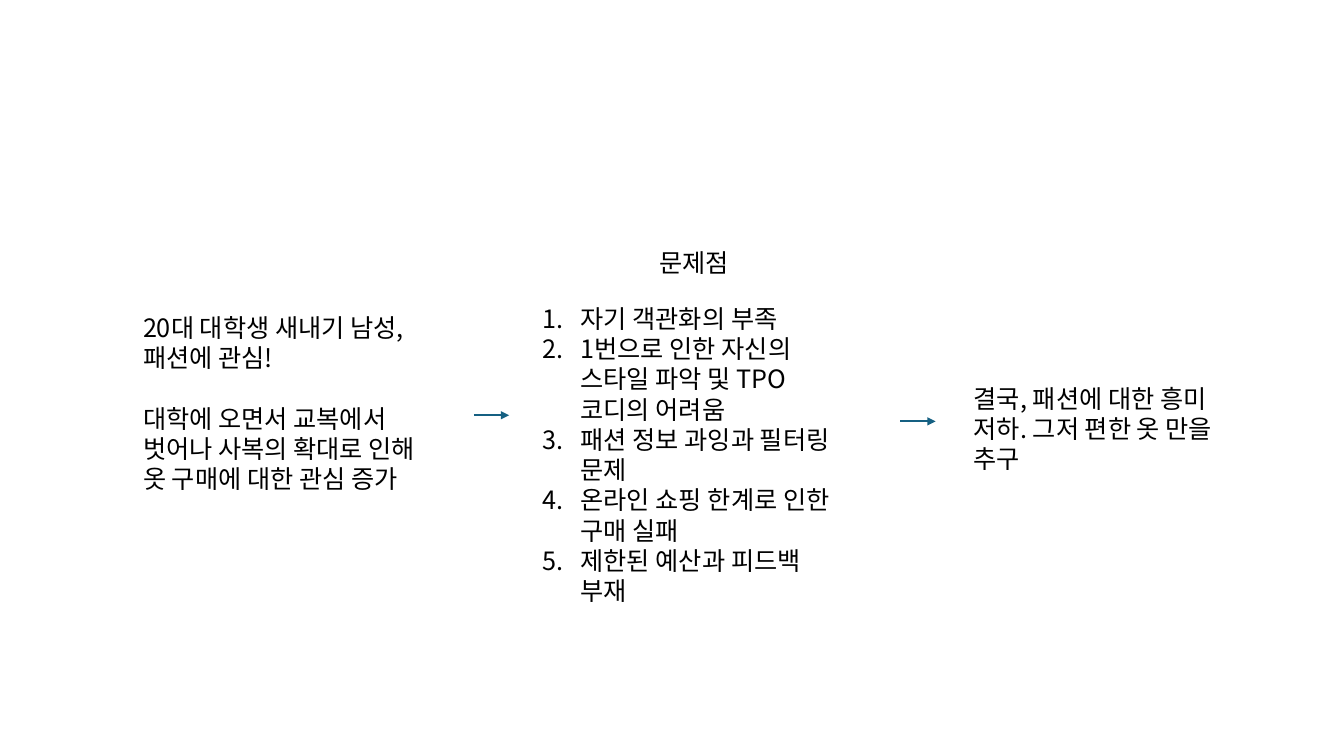
from dataclasses import dataclass

from lxml import etree
from pptx import Presentation
from pptx.dml.color import RGBColor
from pptx.enum.shapes import MSO_CONNECTOR
from pptx.enum.text import MSO_AUTO_SIZE
from pptx.oxml.ns import qn
from pptx.util import Inches, Pt

STRAIGHT = MSO_CONNECTOR.STRAIGHT
GROW = MSO_AUTO_SIZE.SHAPE_TO_FIT_TEXT
BLANK_LAYOUT = 6


@dataclass(frozen=True)
class Theme:
    font: str = "Noto Sans CJK KR"
    size: float = 18
    line_pitch: float = 21.6
    text: RGBColor = RGBColor(0, 0, 0)
    arrow: RGBColor = RGBColor(0x15, 0x60, 0x82)
    arrow_width: float = 1.5


THEME = Theme()

AUDIENCE = ["20대 대학생 새내기 남성, 패션에 관심!",
            "대학에 오면서 교복에서 벗어나 사복의 확대로 인해 옷 구매에 대한 관심 증가"]
PROBLEMS = ["자기 객관화의 부족",
            "1번으로 인한 자신의 스타일 파악 및 TPO 코디의 어려움",
            "패션 정보 과잉과 필터링 문제",
            "온라인 쇼핑 한계로 인한 구매 실패",
            "제한된 예산과 피드백 부재"]
RESULT = ["결국, 패션에 대한 흥미 저하. 그저 편한 옷 만을 추구"]


def write_text(p, text, size=THEME.size, color=THEME.text, gap=0):
    """Fill a paragraph with one formatted run."""
    p.line_spacing = Pt(THEME.line_pitch)
    p.space_before = Pt(gap)
    r = p.add_run()
    r.text = text
    r.font.size = Pt(size)
    r.font.name = THEME.font
    r.font.color.rgb = color
    ea = etree.SubElement(r._r.get_or_add_rPr(), qn("a:ea"))
    ea.set("typeface", THEME.font)


def number_paragraph(p, indent=0.38):
    """Give a paragraph an automatic number and a hanging indent."""
    pPr = p._p.get_or_add_pPr()
    pPr.set("marL", str(Inches(indent)))
    pPr.set("indent", str(-Inches(indent)))
    etree.SubElement(pPr, qn("a:buFont")).set("typeface", THEME.font)
    etree.SubElement(pPr, qn("a:buAutoNum")).set("type", "arabicPeriod")


def add_text(s, left, top, width, height, texts, numbered=False, gap=0):
    """Add a wrapping text box with one paragraph per text."""
    sp = s.shapes.add_textbox(Inches(left), Inches(top),
                              Inches(width), Inches(height))
    tf = sp.text_frame
    tf.word_wrap = True
    tf.auto_size = GROW
    for i, text in enumerate(texts):
        p = tf.add_paragraph() if i else tf.paragraphs[0]
        write_text(p, text, gap=gap if i else 0)
        if numbered:
            number_paragraph(p)


def add_arrow(s, left, y, length=0.35):
    """Add a horizontal arrow pointing right."""
    c = s.shapes.add_connector(STRAIGHT, Inches(left), Inches(y),
                               Inches(left + length), Inches(y))
    c.line.color.rgb = THEME.arrow
    c.line.width = Pt(THEME.arrow_width)
    etree.SubElement(c.line._get_or_add_ln(), qn("a:tailEnd")).set("type", "triangle")
    etree.SubElement(c._element.spPr, qn("a:effectLst"))


def main():
    prs = Presentation()
    prs.slide_width, prs.slide_height = Inches(13.33), Inches(7.5)
    s = prs.slides.add_slide(prs.slide_layouts[BLANK_LAYOUT])

    # Starting point
    add_text(s, 1.32, 3.05, 3.18, 2.22, AUDIENCE, gap=THEME.line_pitch)
    add_arrow(s, 4.7, 4.12)

    # Problems with their heading
    add_text(s, 5.28, 2.96, 3.18, 3.13, PROBLEMS, numbered=True)
    add_text(s, 6.44, 2.4, 3.18, 0.4, ["문제점"])
    add_arrow(s, 8.93, 4.18)

    # Outcome
    add_text(s, 9.56, 3.75, 2.95, 1.01, RESULT)

    prs.save("out.pptx")


main()
